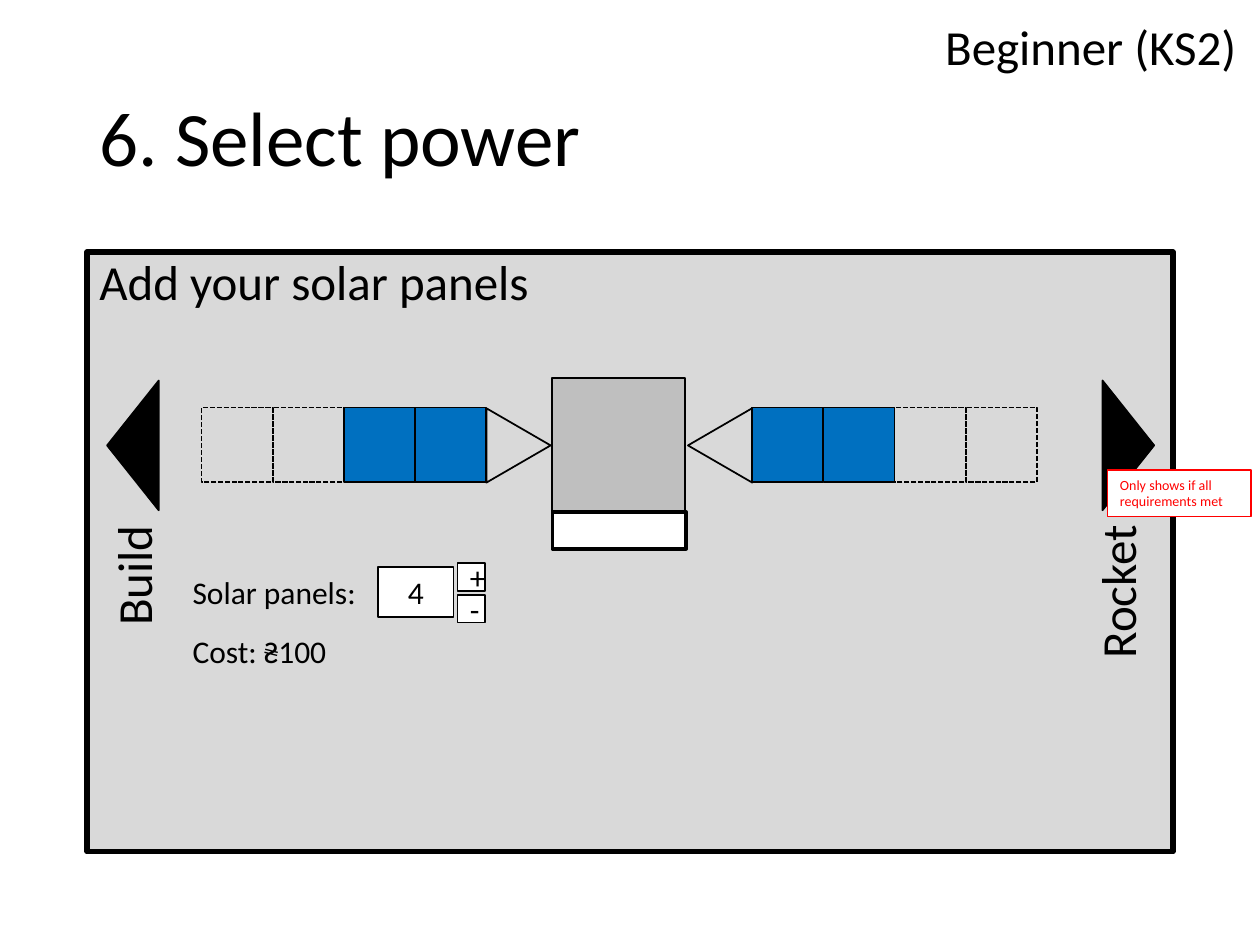
import pptx
import pptx.dml.color
import pptx.enum.dml
import pptx.enum.shapes
import pptx.enum.text
import pptx.util

SHAPE = pptx.enum.shapes.MSO_SHAPE
ALIGN = pptx.enum.text.PP_ALIGN
ANCHOR = pptx.enum.text.MSO_ANCHOR


class Theme:
    font = "Calibri"
    black, white, red = "000000", "FFFFFF", "FF0000"
    screen, body, panel = "D9D9D9", "BFBFBF", "0070C0"
    title, heading, label, note = 44, 28, 18, 8


prs = pptx.Presentation()
prs.slide_width = pptx.util.Inches(10)
prs.slide_height = pptx.util.Inches(7.5)
s = prs.slides.add_slide(prs.slide_layouts[6])
CELL = prs.slide_width / 100  # square grid of 100 columns by 75 rows


def add_box(col, row, cols, rows, kind=SHAPE.RECTANGLE, fill=None,
            line=Theme.black, weight=1, rotation=0):
    """Add a shape on the grid; a fill or line of None is left empty."""
    sp = s.shapes.add_shape(kind, *(round(n * CELL) for n in (col, row, cols, rows)))
    sp.shadow.inherit = False
    sp.rotation = rotation
    for paint, colour in ((sp.fill, fill), (sp.line.fill, line)):
        if colour:
            paint.solid()
            paint.fore_color.rgb = pptx.dml.color.RGBColor.from_string(colour)
        else:
            paint.background()
    if line:
        sp.line.width = pptx.util.Pt(weight)
    return sp


def write(sp, text, size, align=ALIGN.LEFT, anchor=ANCHOR.TOP,
          colour=Theme.black, spacing=None):
    tf = sp.text_frame
    tf.word_wrap = True
    tf.vertical_anchor = anchor
    p = tf.paragraphs[0]
    p.text = text
    p.alignment = align
    p.line_spacing = spacing
    p.font.name = Theme.font
    p.font.size = pptx.util.Pt(size)
    p.font.color.rgb = pptx.dml.color.RGBColor.from_string(colour)


# Headings and screen
level = s.shapes.add_textbox(*(round(n * CELL) for n in (69.5, 0.8, 29.6, 5.7)))
write(level, "Beginner (KS2)", Theme.heading, ALIGN.RIGHT)
title = s.shapes.add_textbox(*(round(n * CELL) for n in (6.9, 4, 86.2, 14.5)))
write(title, "6. Select power", Theme.title, anchor=ANCHOR.MIDDLE, spacing=0.9)
screen = add_box(6.9, 20, 86.2, 47.6, fill=Theme.screen, weight=3)
write(screen, "Add your solar panels", Theme.heading, spacing=0.9)

# Satellite body
add_box(43.8, 30, 10.6, 10.6, fill=Theme.body)
add_box(43.85, 40.65, 10.6, 2.9, fill=Theme.white, weight=2.25)

# Solar wings: two fitted panels nearest the body, two free slots outside
PANEL_W, PANEL_H, PANEL_TOP = 5.65, 5.9, 32.35
for mount_col, angle, wing_col, fitted in ((38.2, 90, 16, (2, 3)),
                                           (54.2, 270, 59.7, (0, 1))):
    add_box(mount_col, 32.8, 5.9, 5.1, SHAPE.ISOSCELES_TRIANGLE, rotation=angle)
    for i in range(4):
        panel = add_box(wing_col + i * PANEL_W, PANEL_TOP, PANEL_W, PANEL_H,
                        fill=Theme.panel if i in fitted else None)
        if i not in fitted:
            panel.line.dash_style = pptx.enum.dml.MSO_LINE.SQUARE_DOT

# Panel counter and cost
for row, text in ((45, "Solar panels:"), (49.7, "Cost: ₴100")):
    write(add_box(14.3, row, 15.7, 4, line=None), text, Theme.label)
for col, row, cols, rows, text in ((30, 45, 6, 4, "4"),
                                   (36.3, 44.7, 2.2, 2.2, "+"),
                                   (36.3, 47.2, 2.2, 2.2, "-")):
    write(add_box(col, row, cols, rows, fill=Theme.white), text,
          Theme.label, ALIGN.CENTER, ANCHOR.MIDDLE)

# Navigation arrows with upright labels
for arrow_col, angle, label_col, text in ((5.4, 270, 3.9, "Build"),
                                          (84.4, 90, 82, "Rocket")):
    add_box(arrow_col, 33.3, 10.3, 4.1, SHAPE.ISOSCELES_TRIANGLE,
            fill=Theme.black, rotation=angle)
    write(add_box(label_col, 44.5, 13.3, 5.7, line=None, rotation=270),
          text, Theme.heading, ALIGN.RIGHT)

note = add_box(87.9, 37.3, 11.4, 3.7, fill=Theme.white, line=Theme.red, weight=0.75)
write(note, "Only shows if all requirements met", Theme.note, colour=Theme.red)

prs.save("out.pptx")
